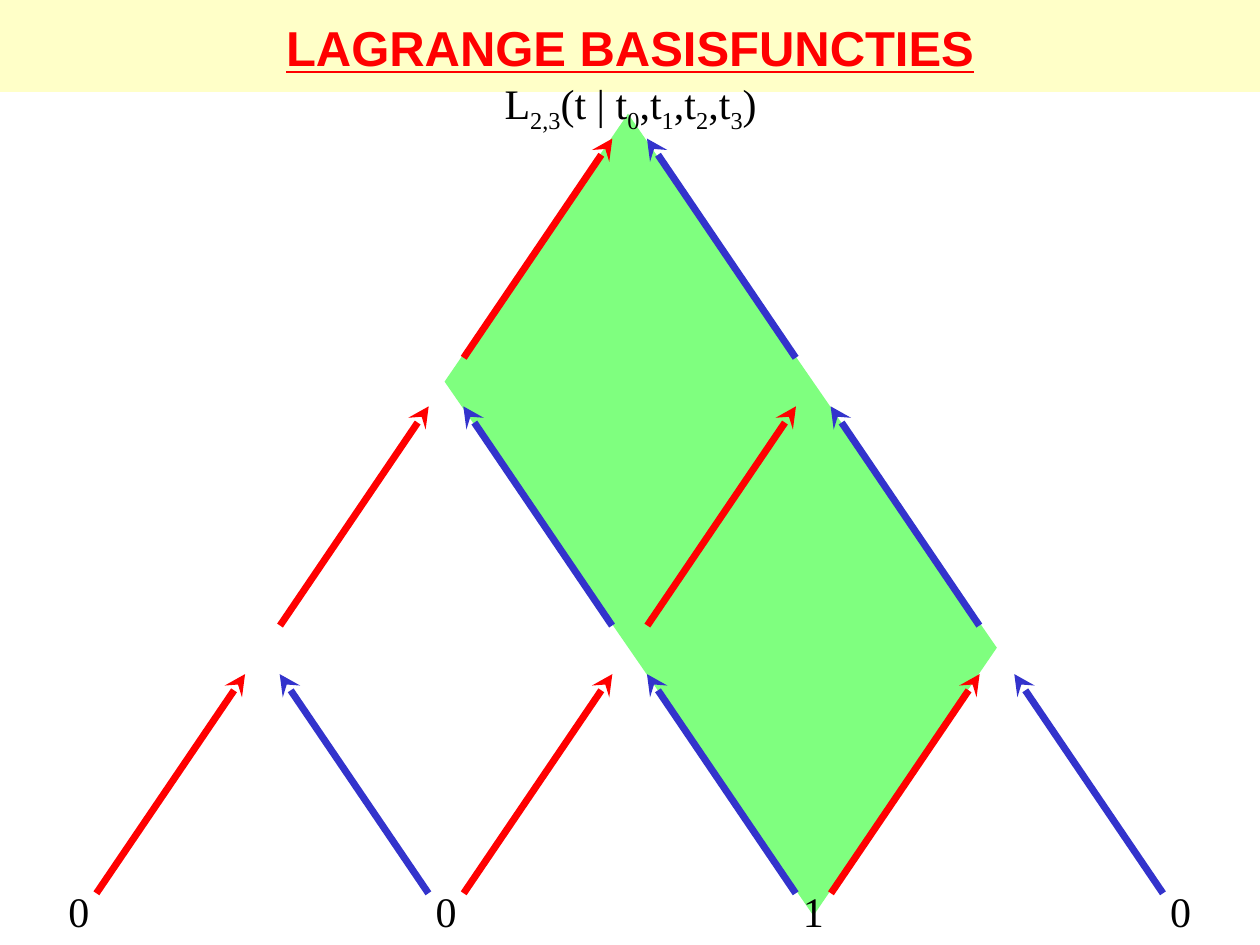
"""Build a slide with the triangular scheme of the Lagrange basis functions."""
from lxml.etree import SubElement
from pptx import Presentation
from pptx.dml.color import RGBColor
from pptx.enum.shapes import MSO_CONNECTOR, MSO_SHAPE
from pptx.enum.text import MSO_ANCHOR, PP_ALIGN
from pptx.oxml.ns import qn
from pptx.util import Inches, Pt

BLACK = RGBColor(0x00, 0x00, 0x00)
RED = RGBColor(0xFF, 0x00, 0x00)
BLUE = RGBColor(0x33, 0x33, 0xCC)
GREEN = RGBColor(0x00, 0xFF, 0x00)
CREAM = RGBColor(0xFF, 0xFF, 0xC8)

TITLE = "LAGRANGE BASISFUNCTIES"
FORMULA = [("L", False), ("2,3", True), ("(t | t", False), ("0", True), (",t", False),
           ("1", True), (",t", False), ("2", True), (",t", False), ("3", True), (")", False)]
BASE_VALUES = ["0", "0", "1", "0"]

WIDTH, HEIGHT = 10, 7.5
NODE_LEFT, NODE_STEP = 0.625, 2.915
ARROW_BOTTOM, ROW_STEP = 7.09, 2.125
ARROW_GAP, ARROW_RUN, ARROW_RISE = 0.14, 1.18, 1.74
LABEL_HEIGHT = 0.5


def add_filled(page, kind, left, top, width, height, color):
    shape = page.shapes.add_shape(kind, Inches(left), Inches(top), Inches(width), Inches(height))
    shape.shadow.inherit = False
    shape.fill.solid()
    shape.fill.fore_color.rgb = color
    shape.line.fill.background()
    return shape


def add_text(page, left, top, width, height, pieces, size, font, color, wrap=False):
    box = page.shapes.add_textbox(Inches(left), Inches(top), Inches(width), Inches(height))
    frame = box.text_frame
    frame.word_wrap = wrap
    frame.vertical_anchor = MSO_ANCHOR.MIDDLE
    para = frame.paragraphs[0]
    para.alignment = PP_ALIGN.CENTER
    for text, lowered in pieces:
        span = para.add_run()
        span.text = text
        span.font.size = Pt(size)
        span.font.name = font
        span.font.color.rgb = color
        if lowered:
            span.font._element.set("baseline", "-25000")
    return para


def add_arrow(page, node, row, direction, color):
    start = NODE_LEFT + (node + row / 2) * NODE_STEP + direction * ARROW_GAP
    bottom = ARROW_BOTTOM - row * ROW_STEP
    arrow = page.shapes.add_connector(
        MSO_CONNECTOR.STRAIGHT, Inches(start), Inches(bottom),
        Inches(start + direction * ARROW_RUN), Inches(bottom - ARROW_RISE))
    arrow.line.color.rgb = color
    arrow.line.width = Pt(4)
    SubElement(arrow.line._get_or_add_ln(), qn("a:tailEnd"), type="stealth")
    SubElement(arrow._element.spPr, qn("a:effectLst"))


def main():
    deck = Presentation()
    deck.slide_width, deck.slide_height = Inches(WIDTH), Inches(HEIGHT)
    page = deck.slides.add_slide(deck.slide_layouts[6])

    add_filled(page, MSO_SHAPE.RECTANGLE, 0, 0, WIDTH, 0.73, CREAM)
    area = add_filled(page, MSO_SHAPE.PARALLELOGRAM, 3.51, 1.68, 4.42, 4.81, GREEN)
    area.adjustments[0] = 0.417
    area.rotation = 304.4
    tint = area.fill._xPr.find(qn("a:solidFill"))[0]
    SubElement(tint, qn("a:alpha"), val="50000")

    title = add_text(page, 0, 0, WIDTH, 0.75, [(TITLE, False)], 28, "Arial", RED, wrap=True)
    title.runs[0].font.bold = True
    title.runs[0].font.underline = True
    add_text(page, 3.86, 0.59, 2.29, LABEL_HEIGHT, FORMULA, 24, "Times New Roman", BLACK)
    for node, value in enumerate(BASE_VALUES):
        center = NODE_LEFT + node * NODE_STEP
        add_text(page, center - 0.185, 6.98, 0.37, LABEL_HEIGHT, [(value, False)],
                 24, "Times New Roman", BLACK)

    last = len(BASE_VALUES) - 1
    for direction, color in ((1, RED), (-1, BLUE)):
        for row in range(last):
            for node in range(last - row):
                add_arrow(page, node if direction > 0 else node + 1, row, direction, color)

    deck.save("out.pptx")


if __name__ == "__main__":
    main()
